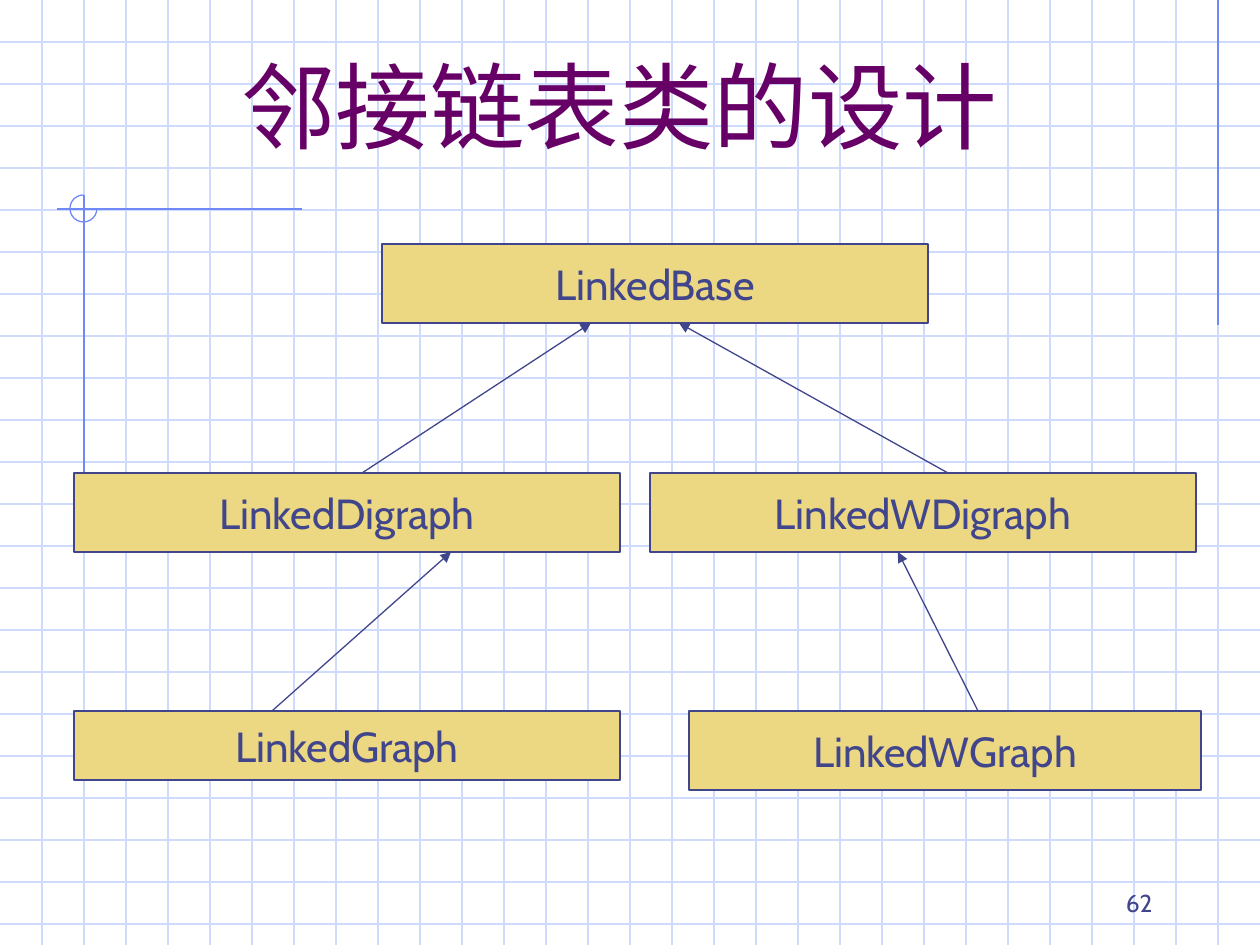
from lxml.etree import SubElement
from pptx import Presentation
from pptx.dml.color import RGBColor
from pptx.enum.shapes import MSO_CONNECTOR, MSO_SHAPE as Shape
from pptx.enum.text import MSO_ANCHOR as Anchor, MSO_AUTO_SIZE, PP_ALIGN as Align
from pptx.oxml.ns import qn
from pptx.util import Pt

PX = 914400 / 126
WIDTH, HEIGHT, GRID = 1260, 945, 42

PALE = RGBColor(0xCF, 0xDB, 0xFD)
BLUE = RGBColor(0x6F, 0x89, 0xF7)
NAVY = RGBColor(0x40, 0x45, 0x8C)
SAND = RGBColor(0xEC, 0xD8, 0x82)
PLUM = RGBColor(0x66, 0x00, 0x66)


def px(*sizes):
    """Turn pixel lengths into EMU."""
    return [round(size * PX) for size in sizes]


def draw_line(ends, color, arrow=False):
    line = slide.shapes.add_connector(MSO_CONNECTOR.STRAIGHT, *px(*ends))
    line.line.color.rgb = color
    line.line.width = Pt(0.75)
    if arrow:
        SubElement(line.line._get_or_add_ln(), qn("a:tailEnd"), type="triangle")
    SubElement(line.element.spPr, qn("a:effectLst"))


deck = Presentation()
deck.slide_width, deck.slide_height = px(WIDTH, HEIGHT)
slide = deck.slides.add_slide(deck.slide_layouts[5])

# Squared paper
for y in range(GRID, HEIGHT, GRID):
    draw_line((0, y, WIDTH, y), PALE)
for x in range(GRID, WIDTH, GRID):
    draw_line((x, 0, x, HEIGHT), PALE)

# Blue ornament
for ends in [(1218, 0, 1218, 325), (302, 209, 57, 209), (84, 195, 84, 515)]:
    draw_line(ends, BLUE)
arc = slide.shapes.add_shape(Shape.ARC, *px(70, 195, 27, 27))
arc.adjustments[0] = 0
arc.adjustments[1] = 162  # 270 degrees
arc.shadow.inherit = False
arc.fill.background()
arc.line.color.rgb = BLUE
arc.line.width = Pt(0.75)

# Title, brought in front of the grid
title = slide.shapes.title
slide.shapes.element.append(title.element)
title.left, title.top, title.width, title.height = px(84, 42, 1071, 126)
frame = title.text_frame
frame.auto_size = MSO_AUTO_SIZE.NONE
frame.vertical_anchor = Anchor.BOTTOM
para = frame.paragraphs[0]
para.alignment = Align.CENTER
run = para.add_run()
run.text = "邻接链表类的设计"
run.font.size = Pt(54)
run.font.color.rgb = PLUM
run.font.name = "Noto Sans CJK SC"
SubElement(run.font._element, qn("a:ea"), typeface="Noto Sans CJK SC")

# Class boxes
boxes = [
    ("LinkedBase", 382, 244, 546, 79),
    ("LinkedDigraph", 74, 473, 546, 79),
    ("LinkedWDigraph", 650, 473, 546, 79),
    ("LinkedGraph", 74, 711, 546, 69),
    ("LinkedWGraph", 689, 711, 512, 79),
]
for name, *place in boxes:
    box = slide.shapes.add_shape(Shape.RECTANGLE, *px(*place))
    box.shadow.inherit = False
    box.fill.solid()
    box.fill.fore_color.rgb = SAND
    box.line.color.rgb = NAVY
    box.line.width = Pt(0.75)
    frame = box.text_frame
    frame.word_wrap = False
    frame.vertical_anchor = Anchor.MIDDLE
    para = frame.paragraphs[0]
    para.alignment = Align.CENTER
    run = para.add_run()
    run.text = name
    run.font.name = "Cabin"
    run.font.size = Pt(24)
    run.font.color.rgb = NAVY

# Arrows from each class to its base
arrows = [
    (362, 473, 591, 323),
    (948, 473, 679, 323),
    (272, 711, 451, 552),
    (978, 711, 898, 552),
]
for ends in arrows:
    draw_line(ends, NAVY, arrow=True)

# Page number
page = slide.shapes.add_textbox(*px(903, 861, 262, 63))
frame = page.text_frame
frame.word_wrap = True
frame.vertical_anchor = Anchor.BOTTOM
para = frame.paragraphs[0]
para.alignment = Align.RIGHT
run = para.add_run()
run.text = "62"
run.font.name = "Cabin"
run.font.size = Pt(14)
run.font.color.rgb = NAVY

deck.save("out.pptx")
